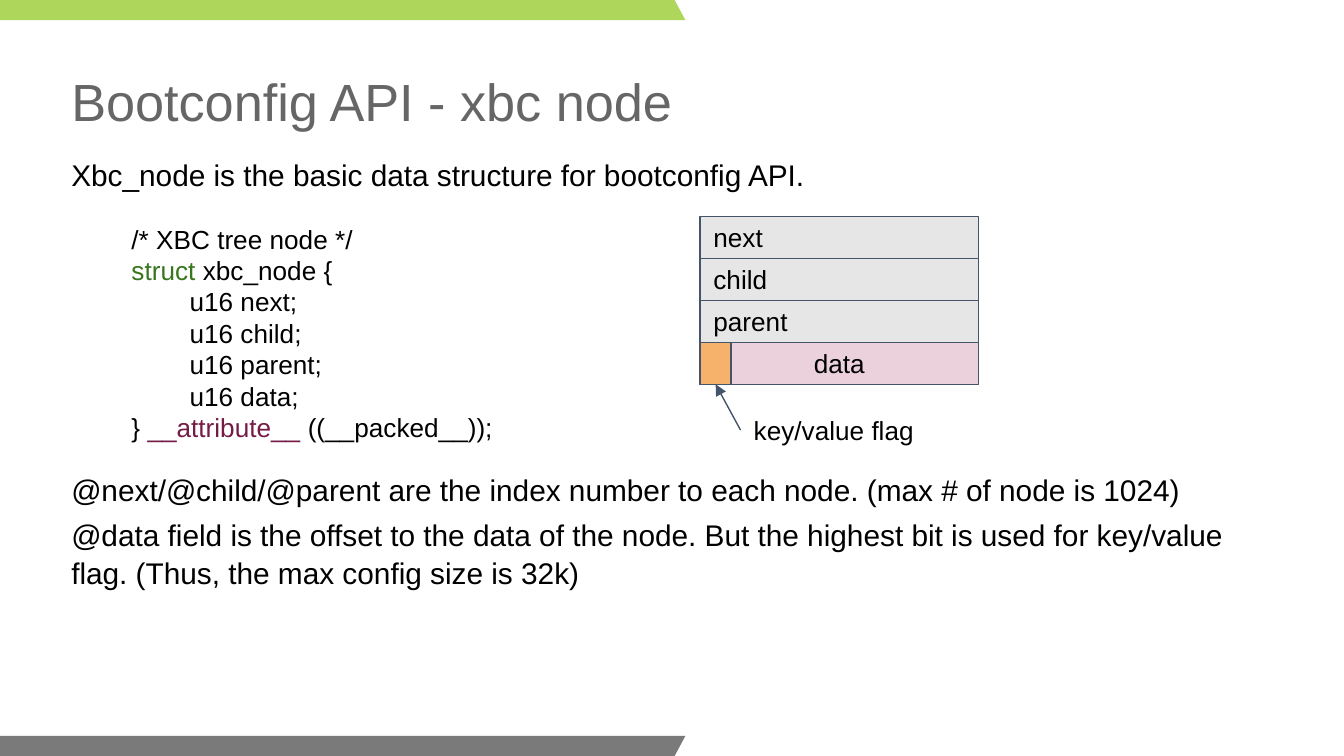
from lxml import etree
from pptx import Presentation
from pptx.dml.color import RGBColor
from pptx.enum import shapes, text
from pptx.oxml import ns
from pptx.util import Inches, Pt

COLORS = {
    "lime": "99CC33", "gray": "595959", "title": "666666", "black": "000000",
    "keyword": "38761D", "attribute": "741B47", "edge": "44546A",
    "index": "E7E6E6", "data": "EAD1DC", "flag": "F6B26B",
}
FONT = "Arial"
SLIDE_W, SLIDE_H = 10, 5.625
CODE = [
    [("/* XBC tree node */", "black")],
    [("struct", "keyword"), (" xbc_node {", "black")],
    *[[(f"        u16 {field};", "black")]
      for field in ("next", "child", "parent", "data")],
    [("} ", "black"), ("__attribute__", "attribute"), (" ((__packed__));", "black")],
]


def rgb(name):
    """Return a named colour."""
    return RGBColor.from_string(COLORS[name])


def set_frame(frame, inset_x, inset_y, anchor):
    """Set wrapping, insets and anchor of a text frame."""
    frame.word_wrap = True
    frame.margin_left = frame.margin_right = Inches(inset_x)
    frame.margin_top = frame.margin_bottom = Inches(inset_y)
    frame.vertical_anchor = anchor


def write(frame, lines, size):
    """Fill a frame with lines of (words, colour) runs and return its paragraphs."""
    for i, line in enumerate(lines):
        paragraph = frame.paragraphs[0] if i == 0 else frame.add_paragraph()
        paragraph.alignment = text.PP_ALIGN.LEFT
        for words, color in line:
            run = paragraph.add_run()
            run.text = words
            run.font.name, run.font.size = FONT, Pt(size)
            run.font.color.rgb = rgb(color)
    return frame.paragraphs


def add_text(slide, box, lines, size, inset=(0.1, 0.1), anchor=text.MSO_ANCHOR.TOP):
    """Add a text box and return its paragraphs."""
    frame = slide.shapes.add_textbox(*map(Inches, box)).text_frame
    set_frame(frame, *inset, anchor)
    return write(frame, lines, size)


def add_band(slide, box, color, slant):
    """Draw a translucent band whose right end slants out to the top or bottom."""
    left, top, width, height = box
    top_right = left + width - max(-slant, 0)
    bottom_right = left + width - max(slant, 0)
    builder = slide.shapes.build_freeform(Inches(left), Inches(top), scale=1.0)
    builder.add_line_segments([
        (Inches(top_right), Inches(top)),
        (Inches(bottom_right), Inches(top + height)),
        (Inches(left), Inches(top + height)),
    ], close=True)
    band = builder.convert_to_shape()
    band.shadow.inherit = False
    band.fill.solid()
    band.fill.fore_color.rgb = rgb(color)
    band.line.fill.background()
    fill_color = band._element.spPr.find(".//" + ns.qn("a:srgbClr"))
    etree.SubElement(fill_color, ns.qn("a:alpha"), val="80000")


def add_body(slide, box):
    """Add the explanation, leaving room for the code and the diagram."""
    lines = [
        "Xbc_node is the basic data structure for bootconfig API.",
        "@next/@child/@parent are the index number to each node. (max # of node is 1024)",
        "@data field is the offset to the data of the node. But the highest bit is "
        "used for key/value flag. (Thus, the max config size is 32k)",
    ]
    paragraphs = add_text(slide, box, [[(line, "black")] for line in lines], 16, (0.04, 0.06))
    for paragraph, space in zip(paragraphs, (0, 149, 4)):
        paragraph.line_spacing = 1.05
        paragraph.space_before = Pt(space)


def add_field(slide, box, color, label=""):
    """Add one field of the node layout."""
    field = slide.shapes.add_shape(shapes.MSO_SHAPE.RECTANGLE, *map(Inches, box))
    field.shadow.inherit = False
    field.fill.solid()
    field.fill.fore_color.rgb = rgb(color)
    field.line.color.rgb = rgb("edge")
    field.line.width = Pt(0.75)
    if label:
        set_frame(field.text_frame, 0.1, 0.1, text.MSO_ANCHOR.MIDDLE)
        write(field.text_frame, [[(label, "black")]], 14)
    return field


def add_node_diagram(slide, box):
    """Stack the four node fields and point out the key/value flag."""
    left, top, width, height = box
    row = height / 4
    for i, label in enumerate(("next", "child", "parent")):
        add_field(slide, (left, top + i * row, width, row), "index", label)
    data_top = top + 3 * row
    data = add_field(slide, (left, data_top, width, row), "data", "data")
    data.text_frame.paragraphs[0].alignment = text.PP_ALIGN.CENTER
    flag = add_field(slide, (left, data_top, 0.23, row), "flag")

    label_left, label_top = left + 0.3, top + height + 0.12
    add_text(slide, (label_left, label_top, 1.46, 0.67), [[("key/value flag", "black")]], 14)
    pointer = slide.shapes.add_connector(
        shapes.MSO_CONNECTOR.STRAIGHT, Inches(label_left), Inches(label_top + 0.22),
        Inches(left + 0.11), Inches(top + height))
    pointer.end_connect(flag, 2)
    pointer.line.color.rgb = rgb("edge")
    pointer.line.width = Pt(0.75)
    etree.SubElement(pointer.line._get_or_add_ln(), ns.qn("a:tailEnd"), type="triangle")
    etree.SubElement(pointer._element.spPr, ns.qn("a:effectLst"))


def main():
    """Build and save the slide."""
    deck = Presentation()
    deck.slide_width, deck.slide_height = Inches(SLIDE_W), Inches(SLIDE_H)
    slide = deck.slides.add_slide(deck.slide_layouts[6])
    band_w, band_h, slant = 5.1, 0.15, 0.08
    add_band(slide, (0, 0, band_w, band_h), "lime", -slant)
    add_band(slide, (0, SLIDE_H - band_h, band_w, band_h), "gray", slant)
    add_text(slide, (0.49, 0.4, 9.02, 0.69), [[("Bootconfig API - xbc node", "title")]],
             28, (0.04, 0.06), text.MSO_ANCHOR.MIDDLE)
    add_body(slide, (0.49, 1.09, 9.02, 4.23))
    add_text(slide, (0.88, 1.56, 3.28, 2.07), CODE, 14)
    add_node_diagram(slide, (5.21, 1.61, 2.07, 1.25))
    deck.save("out.pptx")


if __name__ == "__main__":
    main()
